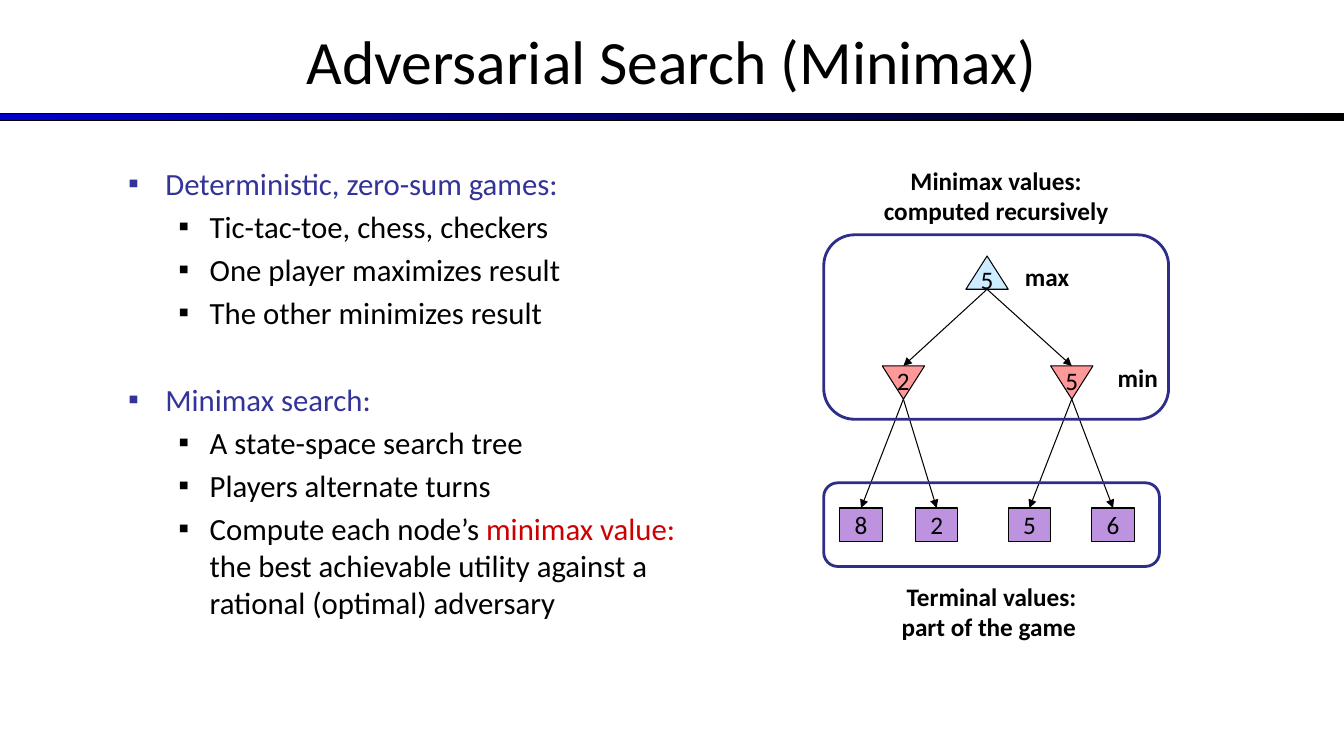
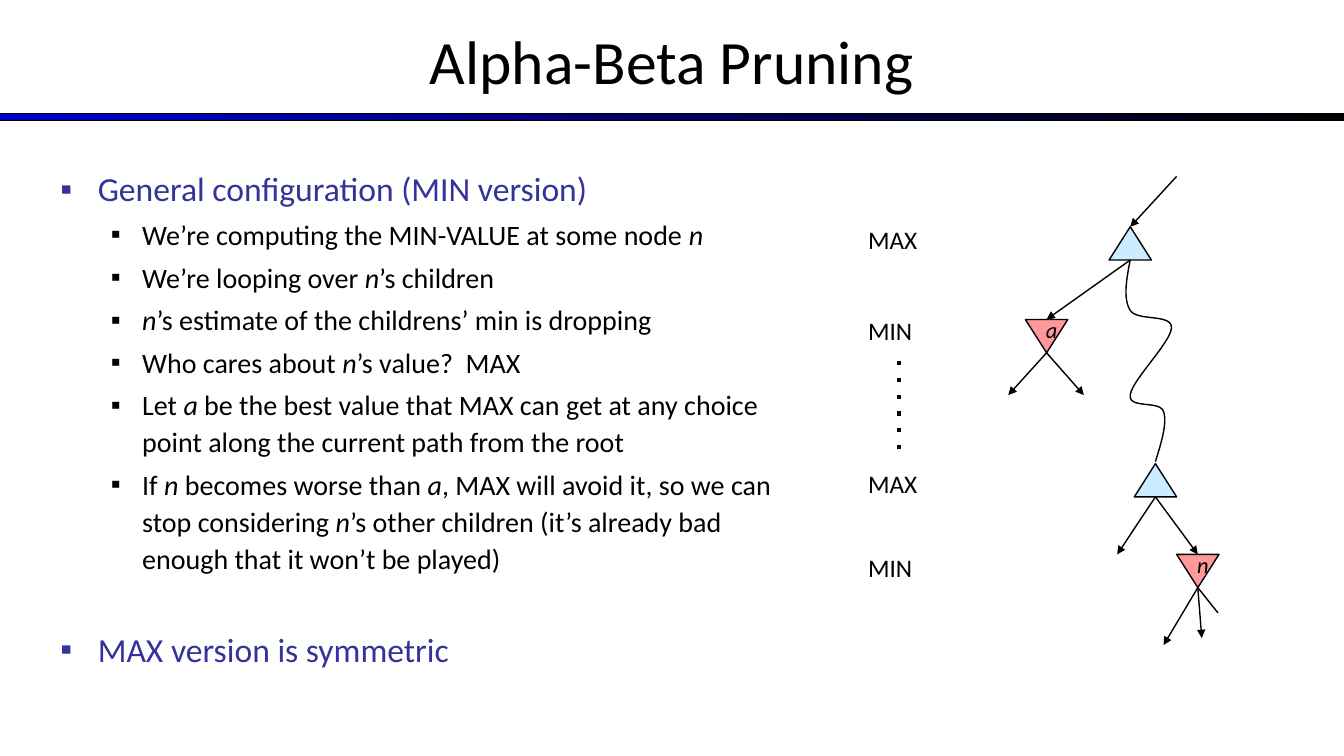
from dataclasses import dataclass

from lxml.etree import SubElement
from pptx import Presentation
from pptx.dml.color import RGBColor
from pptx.enum.shapes import MSO_CONNECTOR, MSO_SHAPE as Preset
from pptx.enum.text import MSO_ANCHOR as Anchor, MSO_AUTO_SIZE as AutoSize, PP_ALIGN as Align
from pptx.oxml.ns import qn
from pptx.util import Inches, Pt


@dataclass(frozen=True)
class Theme:
    font: str = "Calibri"
    black: str = "000000"
    heading: str = "333399"
    emphasis: str = "CC0000"
    band: str = "0000CC"
    frame: str = "2D2D8A"
    max_fill: str = "CCECFF"
    min_fill: str = "FF9999"
    leaf_fill: str = "BD92DE"
    title_size: int = 44
    label_size: int = 18
    node_size: int = 16
    section_gap: float = 35.6


THEME = Theme()
NODE_WIDTH, NODE_HEIGHT = 0.42, 0.33


def rgb(value):
    return RGBColor.from_string(value)


class Deck:
    def __init__(self, theme):
        self.theme = theme
        self.line_width = 0.75
        self.slide = None
        self.presentation = Presentation()
        self.presentation.slide_width = Inches(13.33)
        self.presentation.slide_height = Inches(7.5)
        self.layout = self.presentation.slide_layouts[1]
        self.place(self.layout.placeholders[0], 0, -0.03, 13.33, 1.25)

    def place(self, shape, left, top, width, height):
        shape.left, shape.top = Inches(left), Inches(top)
        shape.width, shape.height = Inches(width), Inches(height)

    def run(self, paragraph, text, size, color=None, bold=False, italic=False):
        run = paragraph.add_run()
        run.text = text
        font = run.font
        font.name, font.size = self.theme.font, Pt(size)
        font.bold, font.italic = bold, italic
        font.color.rgb = rgb(color or self.theme.black)

    def start_slide(self, title, line_width):
        self.slide = self.presentation.slides.add_slide(self.layout)
        self.line_width = line_width
        if len(self.presentation.slides) == 1:
            self.shared_band()
        frame = self.slide.shapes.title.text_frame
        frame.vertical_anchor = Anchor.MIDDLE
        frame.auto_size = AutoSize.NONE
        paragraph = frame.paragraphs[0]
        paragraph.alignment = Align.CENTER
        self.run(paragraph, title, self.theme.title_size)

    def shared_band(self):
        band = self.shape(Preset.RECTANGLE, 0, 1.13, 13.33, 0.07)
        band.fill.gradient()
        band.fill.gradient_angle = 0
        for stop, color in zip(band.fill.gradient_stops, (self.theme.band, self.theme.black)):
            stop.color.rgb = rgb(color)
        self.layout.shapes.element.append(band.element)

    def bullets(self, items, box, sizes, space_before, line_spacing=1.0, emphasis=None):
        body = self.slide.placeholders[1]
        self.place(body, *box)
        frame = body.text_frame
        frame.auto_size = AutoSize.NONE
        for index, (level, text) in enumerate(items):
            paragraph = frame.add_paragraph() if index else frame.paragraphs[0]
            color = self.theme.black if level else self.theme.heading
            paragraph.level = level
            paragraph.line_spacing = line_spacing
            gap = space_before if level else self.theme.section_gap
            paragraph.space_before = Pt(gap if index else 0)
            self.bullet_mark(paragraph, level, color)
            for position, part in enumerate(text.split("*")):
                marked = position % 2 == 1
                if part:
                    self.run(paragraph, part, sizes[level],
                             emphasis if marked and emphasis else color,
                             italic=marked and not emphasis)

    def bullet_mark(self, paragraph, level, color):
        margin, hanging = ((0.37, 0.37), (0.81, 0.31))[level]
        properties = paragraph._p.get_or_add_pPr()
        properties.set("marL", str(Inches(margin)))
        properties.set("indent", str(-Inches(hanging)))
        SubElement(SubElement(properties, qn("a:buClr")), qn("a:srgbClr"), val=color)
        SubElement(properties, qn("a:buFont"), typeface="Arial")
        SubElement(properties, qn("a:buChar"), char="▪")

    def shape(self, preset, left, top, width, height, fill=None, line=None, line_width=None):
        shape = self.slide.shapes.add_shape(
            preset, Inches(left), Inches(top), Inches(width), Inches(height))
        self.outline(shape, fill, line, line_width)
        return shape

    def outline(self, shape, fill=None, line=None, line_width=None):
        shape.shadow.inherit = False
        if fill:
            shape.fill.solid()
            shape.fill.fore_color.rgb = rgb(fill)
        else:
            shape.fill.background()
        shape.line.color.rgb = rgb(line or self.theme.black)
        shape.line.width = Pt(line_width or self.line_width)

    def frame(self, *box):
        self.shape(Preset.ROUNDED_RECTANGLE, *box, line=self.theme.frame, line_width=2)

    def triangle(self, center, top, fill):
        return self.shape(Preset.ISOSCELES_TRIANGLE, center - NODE_WIDTH / 2, top,
                          NODE_WIDTH, NODE_HEIGHT, fill)

    def max_node(self, center, top):
        self.triangle(center, top, self.theme.max_fill)

    def min_node(self, center, top):
        self.triangle(center, top, self.theme.min_fill).rotation = 180

    def leaf(self, center, top, value):
        leaf = self.shape(Preset.RECTANGLE, center - NODE_WIDTH / 2, top,
                          NODE_WIDTH, NODE_HEIGHT, self.theme.leaf_fill)
        leaf.text_frame.vertical_anchor = Anchor.MIDDLE
        paragraph = leaf.text_frame.paragraphs[0]
        paragraph.alignment = Align.CENTER
        self.run(paragraph, value, self.theme.label_size)
        return leaf

    def text(self, text, left, top, width, height, size=None, bold=False, italic=False,
             align=Align.CENTER):
        box = self.slide.shapes.add_textbox(
            Inches(left), Inches(top), Inches(width), Inches(height))
        frame = box.text_frame
        frame.word_wrap = True
        frame.vertical_anchor = Anchor.MIDDLE
        frame.margin_left = frame.margin_right = frame.margin_top = frame.margin_bottom = 0
        paragraph = frame.paragraphs[0]
        paragraph.alignment = align
        for index, line in enumerate(text.split("\n")):
            if index:
                paragraph.add_line_break()
            self.run(paragraph, line, size or self.theme.label_size, bold=bold, italic=italic)

    def node_text(self, text, center, middle, **style):
        self.text(text, center - 0.17, middle - 0.2, 0.34, 0.4, **style)

    def line(self, start, end, arrow=True, dash=None, width=None, target=None):
        connector = self.slide.shapes.add_connector(
            MSO_CONNECTOR.STRAIGHT, *(Inches(value) for value in (*start, *end)))
        if target is not None:
            connector.end_connect(target, 0)
        connector.line.color.rgb = rgb(self.theme.black)
        connector.line.width = Pt(width or self.line_width)
        properties = connector.element.spPr
        outline = properties.find(qn("a:ln"))
        if dash:
            SubElement(outline, qn("a:prstDash"), val=dash)
        if arrow:
            SubElement(outline, qn("a:tailEnd"), type="triangle")
        SubElement(properties, qn("a:effectLst"))

    def curve(self, start, segments, steps=12):
        points = []
        current = start
        for first, second, end in segments:
            for step in range(1, steps + 1):
                t = step / steps
                weights = ((1 - t) ** 3, 3 * t * (1 - t) ** 2, 3 * t * t * (1 - t), t ** 3)
                controls = (current, first, second, end)
                points.append(tuple(
                    Inches(sum(weight * point[axis] for weight, point in zip(weights, controls)))
                    for axis in (0, 1)))
            current = end
        builder = self.slide.shapes.build_freeform(Inches(start[0]), Inches(start[1]))
        builder.add_line_segments(points, close=False)
        self.outline(builder.convert_to_shape())


def minimax_slide(deck):
    deck.start_slide("Adversarial Search (Minimax)", 0.75)
    deck.bullets([
        (0, "Deterministic, zero-sum games:"),
        (1, "Tic-tac-toe, chess, checkers"),
        (1, "One player maximizes result"),
        (1, "The other minimizes result"),
        (0, "Minimax search:"),
        (1, "A state-space search tree"),
        (1, "Players alternate turns"),
        (1, "Compute each node’s *minimax value: *the best achievable utility "
            "against a rational (optimal) adversary"),
    ], (1.17, 1.58, 6, 4.95), (22, 22), 4.4, emphasis=deck.theme.emphasis)

    root, root_top, min_top, leaf_top = 9.79, 2.54, 3.63, 5.04
    branches = [
        (8.96, "2", [(8.54, "8"), (9.29, "2")]),
        (10.63, "5", [(10.21, "5"), (11.04, "6")]),
    ]
    deck.max_node(root, root_top)
    deck.node_text("5", root, root_top + 0.23)
    for center, value, leaves in branches:
        deck.min_node(center, min_top)
        deck.node_text(value, center, min_top + 0.14)
        deck.line((root, root_top + NODE_HEIGHT), (center, min_top))
        for leaf_center, leaf_value in leaves:
            leaf = deck.leaf(leaf_center, leaf_top, leaf_value)
            deck.line((center, min_top + NODE_HEIGHT), (leaf_center, leaf_top), target=leaf)
    deck.text("max", 10.02, 2.54, 0.73, 0.4, bold=True)
    deck.text("min", 10.92, 3.54, 0.73, 0.4, bold=True)
    deck.frame(8.17, 4.79, 3.33, 0.83)
    deck.text("Terminal values:\npart of the game ", 8.17, 5.71, 3.33, 0.71, bold=True)
    deck.frame(8.17, 2.33, 3.42, 1.83)
    deck.text("Minimax values:\ncomputed recursively", 8.17, 1.58, 3.42, 0.71, bold=True)


def pruning_slide(deck):
    deck.start_slide("Alpha-Beta Pruning", 1)
    deck.bullets([
        (0, "General configuration (MIN version)"),
        (1, "We’re computing the MIN-VALUE at some node *n*"),
        (1, "We’re looping over *n*’s children"),
        (1, "*n*’s estimate of the childrens’ min is dropping"),
        (1, "Who cares about *n*’s value?  MAX"),
        (1, "Let *a* be the best value that MAX can get at any choice point "
            "along the current path from the root"),
        (1, "If *n* becomes worse than *a*, MAX will avoid it, so we can stop considering "
            "*n*’s other children (it’s already bad enough that it won’t be played)"),
        (0, "MAX version is symmetric"),
    ], (0.5, 1.58, 7.5, 4.95), (24, 20), 4, line_spacing=1.1)

    for label, top in (("MAX", 2.18), ("MIN", 3.08), ("MAX", 4.6), ("MIN", 5.43)):
        deck.text(label, 8.61, top, 0.6, 0.4, align=Align.LEFT)
    deck.line((8.92, 3.58), (8.92, 4.5), arrow=False, dash="dot", width=3)

    for center, top in ((11.21, 2.25), (11.46, 4.6)):
        deck.max_node(center, top)
    for name, center, top in (("a", 10.38, 3.17), ("n", 11.88, 5.5)):
        deck.min_node(center, top)
        deck.node_text(name, center + 0.05, top + 0.1, size=deck.theme.node_size, italic=True)

    deck.curve((11.21, 2.58), [
        ((11.17, 2.78), (11.14, 2.97), (11.21, 3.08)),
        ((11.28, 3.19), (11.62, 3.11), (11.62, 3.25)),
        ((11.62, 3.39), (11.22, 3.78), (11.21, 3.92)),
        ((11.19, 4.06), (11.5, 3.97), (11.54, 4.08)),
        ((11.58, 4.19), (11.52, 4.39), (11.46, 4.58)),
    ])
    arrows = {
        (11.67, 1.75): [(11.21, 2.25)],
        (11.21, 2.58): [(10.38, 3.17)],
        (10.38, 3.5): [(10, 3.92), (10.75, 3.92)],
        (11.46, 4.93): [(11.08, 5.5), (11.88, 5.5)],
        (11.88, 5.83): [(11.54, 6.4), (11.92, 6.33)],
    }
    for start, ends in arrows.items():
        for end in ends:
            deck.line(start, end)
    deck.line((11.88, 5.83), (12.08, 6.08), arrow=False)


def main():
    deck = Deck(THEME)
    minimax_slide(deck)
    pruning_slide(deck)
    deck.presentation.save("out.pptx")


if __name__ == "__main__":
    main()
